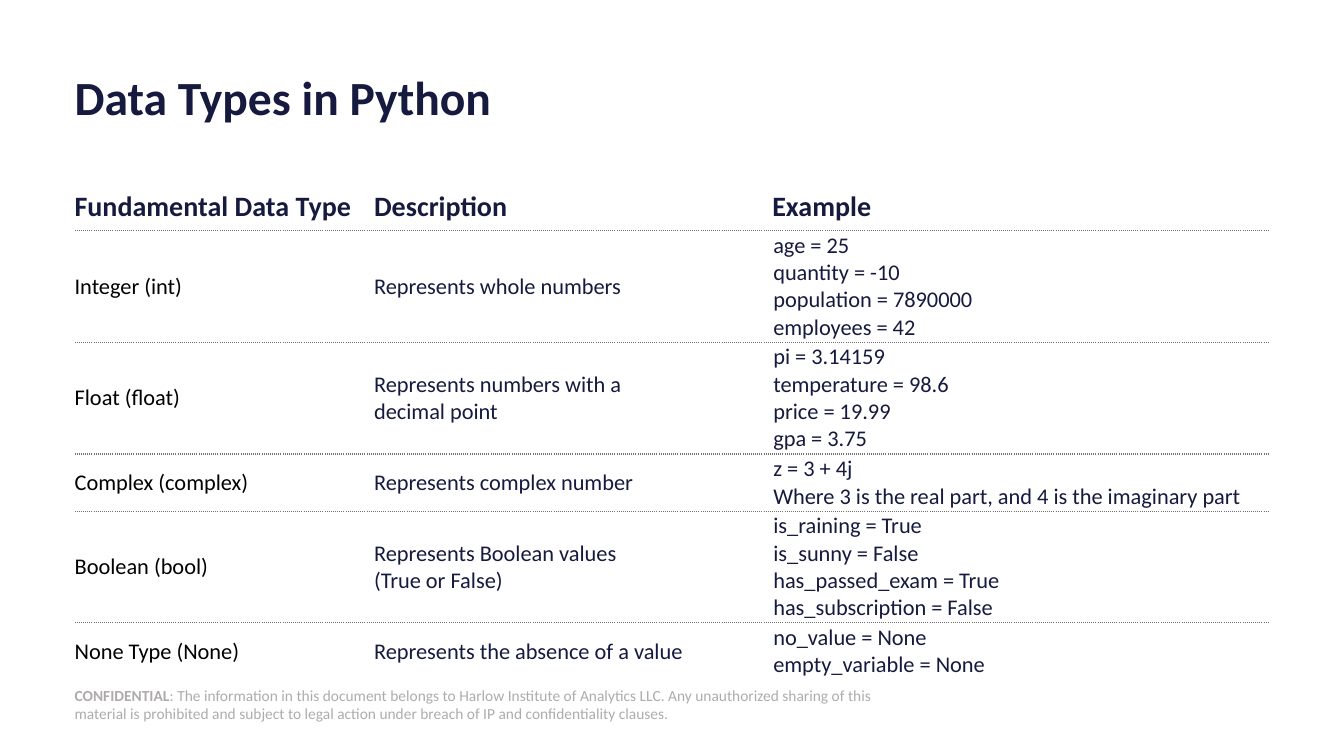
"""Build a slide with a table of the fundamental data types in Python."""
from lxml import etree
from pptx import Presentation
from pptx.dml.color import RGBColor
from pptx.enum.shapes import MSO_SHAPE
from pptx.enum.text import MSO_ANCHOR, MSO_AUTO_SIZE, PP_ALIGN
from pptx.oxml.ns import qn
from pptx.util import Inches, Pt

RECTANGLE = MSO_SHAPE.RECTANGLE
MIDDLE = MSO_ANCHOR.MIDDLE
NO_FIT = MSO_AUTO_SIZE.NONE
LEFT = PP_ALIGN.LEFT
NAVY, BLACK, GREY, WHITE, RULE = "161A3E", "000000", "AFABAB", "FFFFFF", "767171"
LEFT_EDGE = Inches(0.74)
TABLE_WIDTH = Inches(11.85)


def write(frame, paragraphs, size, color, bold=False, spacing=None):
    """Fill a text frame with paragraphs, each a list of spans or one string."""
    for index, spans in enumerate(paragraphs):
        para = frame.paragraphs[0] if index == 0 else frame.add_paragraph()
        para.alignment = LEFT
        para.line_spacing = spacing
        for text, strong in [(spans, bold)] if isinstance(spans, str) else spans:
            for number, line in enumerate(text.split("\n")):
                if number:
                    para.add_line_break()
                    line_break = para._p.findall(qn("a:br"))[-1]
                    etree.SubElement(line_break, qn("a:rPr"), sz=str(size * 100))
                span = para.add_run()
                span.text = line
                span.font.name = "Calibri"
                span.font.size = Pt(size)
                span.font.bold = strong
                span.font.color.rgb = RGBColor.from_string(color)


def add_border(cell, side, visible):
    """Draw one side of a cell as a dotted rule or leave it bare."""
    line = etree.SubElement(cell._tc.get_or_add_tcPr(), qn(f"a:{side}"), w=str(Pt(1)))
    if visible:
        fill = etree.SubElement(line, qn("a:solidFill"))
        etree.SubElement(fill, qn("a:srgbClr"), val=RULE)
        etree.SubElement(line, qn("a:prstDash"), val="sysDot")
    else:
        etree.SubElement(line, qn("a:noFill"))


deck = Presentation()
deck.slide_width = Inches(13.33)
deck.slide_height = Inches(7.5)
page = deck.slides.add_slide(deck.slide_layouts[5])

title = page.shapes.title
title.left, title.top = LEFT_EDGE, Inches(0.66)
title.width, title.height = TABLE_WIDTH, Inches(0.67)

notice = page.shapes.add_shape(RECTANGLE, LEFT_EDGE, Inches(6.79), Inches(8.17), Inches(0.4))
notice.shadow.inherit = False
notice.fill.solid()
notice.fill.fore_color.rgb = RGBColor.from_string(WHITE)
notice.line.fill.background()

for box in (title, notice):
    frame = box.text_frame
    frame.margin_left = frame.margin_right = frame.margin_top = frame.margin_bottom = 0
    frame.vertical_anchor = MIDDLE
    frame.word_wrap = True
    frame.auto_size = NO_FIT

write(title.text_frame, ["Data Types in Python"], 34, NAVY, bold=True, spacing=0.9)
write(notice.text_frame, [[
    ("CONFIDENTIAL", True),
    (": The information in this document belongs to Harlow Institute of Analytics LLC. "
     "Any unauthorized sharing of this material is prohibited and subject to legal action "
     "under breach of IP and confidentiality clauses.", False),
]], 11, GREY)

rows = [
    ("Fundamental Data Type", "Description", ["Example"]),
    ("Integer (int)", "Represents whole numbers",
     ["age = 25", "quantity = -10", "population = 7890000", "employees = 42"]),
    ("Float (float)", "Represents numbers with a\ndecimal point",
     ["pi = 3.14159", "temperature = 98.6", "price = 19.99", "gpa = 3.75"]),
    ("Complex (complex)", "Represents complex number",
     ["z = 3 + 4j", "Where 3 is the real part, and 4 is the imaginary part"]),
    ("Boolean (bool)", "Represents Boolean values\n(True or False)",
     ["is_raining = True", "is_sunny = False", "has_passed_exam = True",
      "has_subscription = False"]),
    ("None Type (None)", "Represents the absence of a value",
     ["no_value = None", "empty_variable = None"]),
]
row_heights = {1: 0.47, 2: 0.57, 4: 1.11 - 0.07}
column_widths = [2.97, 3.95, 4.93]

table = page.shapes.add_table(len(rows), len(column_widths), LEFT_EDGE, Inches(1.82),
                              TABLE_WIDTH, Inches(4.73)).table
table.first_row = False
table.horz_banding = False
for column, width in zip(table.columns, column_widths):
    column.width = Inches(width)

for row_index, (kind, description, examples) in enumerate(rows):
    is_header = row_index == 0
    table.rows[row_index].height = Inches(row_heights[len(examples)])
    for column_index, lines in enumerate([[kind], [description], examples]):
        cell = table.cell(row_index, column_index)
        margin = Inches(0.01) if column_index == 2 and not is_header else 0
        cell.margin_left = cell.margin_right = cell.margin_top = cell.margin_bottom = margin
        cell.vertical_anchor = MIDDLE
        add_border(cell, "lnL", False)
        add_border(cell, "lnR", False)
        add_border(cell, "lnT", not is_header)
        add_border(cell, "lnB", row_index < len(rows) - 1)
        cell.fill.background()
        color = BLACK if column_index == 0 and not is_header else NAVY
        write(cell.text_frame, lines, 20 if is_header else 16, color, bold=is_header)

deck.save("out.pptx")
